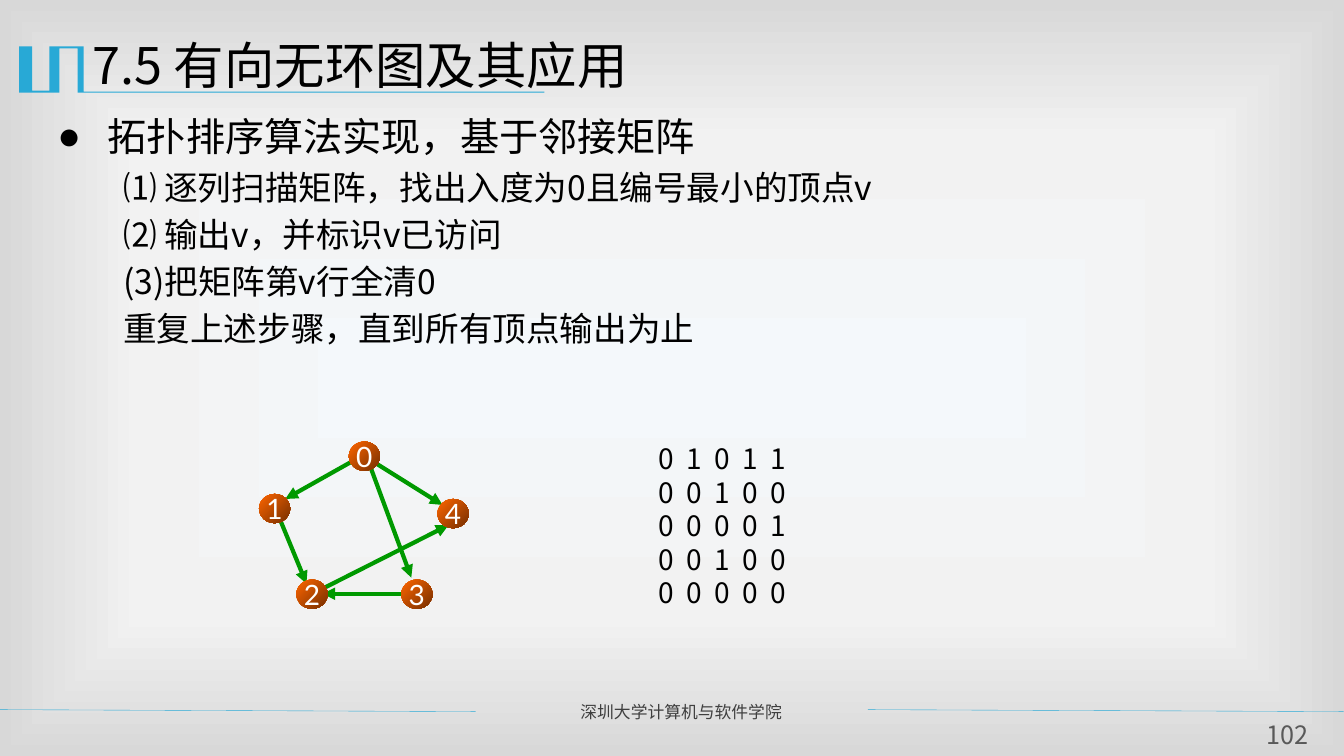
from dataclasses import dataclass

from lxml.etree import SubElement
from pptx import Presentation
from pptx.dml.color import RGBColor
from pptx.enum.shapes import MSO_CONNECTOR, MSO_SHAPE
from pptx.enum.text import MSO_ANCHOR, MSO_AUTO_SIZE, PP_ALIGN
from pptx.oxml import parse_xml
from pptx.oxml.ns import nsdecls, qn
from pptx.shapes.autoshape import Shape
from pptx.slide import Slide
from pptx.text.text import _Paragraph as Paragraph
from pptx.util import Pt


@dataclass(frozen=True)
class Theme:
    text_font: str = "Noto Sans CJK SC"
    node_font: str = "Lato"
    black: RGBColor = RGBColor(0, 0, 0)
    white: RGBColor = RGBColor(255, 255, 255)
    accent: RGBColor = RGBColor.from_string("28A9D6")
    edge: RGBColor = RGBColor.from_string("009900")
    node_light: RGBColor = RGBColor.from_string("FF6600")
    node_dark: RGBColor = RGBColor.from_string("762F00")
    footer: RGBColor = RGBColor.from_string("3F3F3F")
    number: RGBColor = RGBColor.from_string("595959")
    background: tuple = ((0, "F4F8FB"), (63, "F2F2F2"), (100, "D8D8D8"))
    title_size: float = 36
    bullet_size: float = 28
    step_size: float = 24
    graph_size: float = 20
    number_size: float = 18
    footer_size: float = 12
    line_height: float = 1.2


THEME = Theme()


@dataclass(frozen=True)
class Box:
    left: float
    top: float
    width: float
    height: float


@dataclass(frozen=True)
class Node:
    left: float
    top: float


@dataclass(frozen=True)
class Edge:
    source: int
    target: int
    start: tuple[float, float]
    end: tuple[float, float]


NODE_WIDTH, NODE_HEIGHT = 22.3, 20.9
NODES = [Node(249.1, 315.4), Node(185, 352.8), Node(211.7, 414),
         Node(286.6, 414), Node(312.5, 356.4)]
EDGES = [
    Edge(0, 4, (267.8, 330.5), (316.1, 360.7)),
    Edge(1, 2, (200.2, 371.5), (218.9, 416.9)),
    Edge(0, 1, (256.3, 326.9), (203.8, 356.4)),
    Edge(0, 3, (263.5, 330.5), (293.8, 412.6)),
    Edge(3, 2, (286.6, 424.1), (230.4, 424.1)),
    Edge(2, 4, (230.4, 420.5), (320.4, 375.1)),
]
MATRIX_PITCH = 20
EMBLEM = [(59.8, 33.1), (59.8, 65.5), (388.8, 65.5), (388.8, 66.2), (55.4, 66.2),
          (55.4, 34.6), (42.5, 34.6), (42.5, 66.2), (13.7, 66.2), (13.7, 33.1),
          (23, 33.1), (23, 64.8), (35.3, 64.8), (35.3, 33.1)]
FOOTER_RULES = [((0, 506.9), (339.8, 508.3)), ((619.9, 506.9), (959.8, 508.3))]
HEADING = "拓扑排序算法实现，基于邻接矩阵"
STEPS = ["⑴ 逐列扫描矩阵，找出入度为0且编号最小的顶点v", "⑵ 输出v，并标识v已访问",
         "(3)把矩阵第v行全清0", "重复上述步骤，直到所有顶点输出为止"]


def format_paragraph(paragraph: Paragraph, size: float, color: RGBColor,
                     font: str = THEME.text_font) -> None:
    """Fix the line height and style every run, East Asian text included."""
    paragraph.line_spacing = Pt(round(size * THEME.line_height, 2))
    for run in paragraph.runs:
        run.font.size = Pt(size)
        run.font.color.rgb = color
        run.font.name = font
        SubElement(run._r.get_or_add_rPr(), qn("a:ea"), typeface=font)


def place(shape: Shape, box: Box) -> None:
    shape.left, shape.top = Pt(box.left), Pt(box.top)
    shape.width, shape.height = Pt(box.width), Pt(box.height)
    shape.text_frame.word_wrap = True
    shape.text_frame.auto_size = MSO_AUTO_SIZE.NONE
    shape.text_frame.vertical_anchor = MSO_ANCHOR.TOP


def add_text(slide: Slide, box: Box, text: str, size: float, color: RGBColor,
             alignment: PP_ALIGN = PP_ALIGN.LEFT) -> Shape:
    shape = slide.shapes.add_textbox(0, 0, 0, 0)
    place(shape, box)
    shape.text_frame.text = text
    for paragraph in shape.text_frame.paragraphs:
        paragraph.alignment = alignment
        format_paragraph(paragraph, size, color)
    return shape


def add_line(slide: Slide, start: tuple[float, float], end: tuple[float, float],
             color: RGBColor, width: float, arrow: bool = False) -> None:
    connector = slide.shapes.add_connector(
        MSO_CONNECTOR.STRAIGHT, *(Pt(value) for value in (*start, *end)))
    connector.line.color.rgb = color
    connector.line.width = Pt(width)
    properties = connector.element.spPr
    if arrow:
        SubElement(properties.find(qn("a:ln")), qn("a:tailEnd"), type="triangle")
    SubElement(properties, qn("a:effectLst"))


def paint_background(slide: Slide) -> None:
    stops = "".join(f'<a:gs pos="{position * 1000}"><a:srgbClr val="{color}"/></a:gs>'
                    for position, color in THEME.background)
    slide.element.cSld.insert(0, parse_xml(
        f'<p:bg {nsdecls("p", "a")}><p:bgPr><a:gradFill><a:gsLst>{stops}</a:gsLst>'
        '<a:path path="rect"><a:fillToRect l="50000" t="50000" r="50000" b="50000"/>'
        '</a:path></a:gradFill><a:effectLst/></p:bgPr></p:bg>'))


def add_emblem(slide: Slide) -> None:
    points = [(Pt(x), Pt(y)) for x, y in EMBLEM]
    builder = slide.shapes.build_freeform(*points[0])
    builder.add_line_segments(points[1:], close=True)
    emblem = builder.convert_to_shape()
    emblem.shadow.inherit = False
    emblem.fill.solid()
    emblem.fill.fore_color.rgb = THEME.accent
    emblem.line.fill.background()


def fill_title(title: Shape) -> None:
    place(title, Box(59, 20.5, 864, 62.6))
    title.text_frame.text = "7.5 有向无环图及其应用"
    paragraph = title.text_frame.paragraphs[0]
    paragraph.alignment = PP_ALIGN.LEFT
    format_paragraph(paragraph, THEME.title_size, THEME.black)


def fill_body(body: Shape) -> None:
    place(body, Box(33.8, 77, 873.4, 216))
    body.text_frame.text = "\n".join([HEADING, *STEPS])
    for index, paragraph in enumerate(body.text_frame.paragraphs):
        properties = paragraph._p.get_or_add_pPr()
        is_step = index > 0
        properties.set("marL", str(Pt(47 if is_step else 36)))
        properties.set("indent", str(Pt(0 if is_step else -36)))
        if is_step:
            SubElement(properties, qn("a:buNone"))
        else:
            SubElement(properties, qn("a:buChar"), char="●")
        paragraph.space_before = Pt(4.8 if is_step else 0)
        format_paragraph(paragraph, THEME.step_size if is_step else THEME.bullet_size,
                         THEME.black)


def add_node(slide: Slide, node: Node, label: str) -> None:
    circle = slide.shapes.add_shape(MSO_SHAPE.OVAL, Pt(node.left), Pt(node.top),
                                    Pt(NODE_WIDTH), Pt(NODE_HEIGHT))
    circle.shadow.inherit = False
    circle.line.fill.background()
    circle.fill.gradient()
    circle.fill.gradient_angle = 315
    for stop, color in zip(circle.fill.gradient_stops, (THEME.node_light, THEME.node_dark)):
        stop.color.rgb = color
    frame = circle.text_frame
    frame.margin_left = frame.margin_right = 0
    frame.word_wrap = False
    frame.vertical_anchor = MSO_ANCHOR.MIDDLE
    frame.text = label
    frame.paragraphs[0].alignment = PP_ALIGN.CENTER
    format_paragraph(frame.paragraphs[0], THEME.graph_size, THEME.white, THEME.node_font)


def add_adjacency_matrix(slide: Slide) -> None:
    """Write one row per node, its columns held apart by tab stops."""
    links = {(edge.source, edge.target) for edge in EDGES}
    order = range(len(NODES))
    rows = ["\t".join(str(int((row, column) in links)) for column in order) for row in order]
    matrix = add_text(slide, Box(463, 311.8, 162, 128), "\n".join(rows),
                      THEME.graph_size, THEME.black)
    for paragraph in matrix.text_frame.paragraphs:
        tabs = SubElement(paragraph._p.get_or_add_pPr(), qn("a:tabLst"))
        for column in order[1:]:
            SubElement(tabs, qn("a:tab"), pos=str(Pt(column * MATRIX_PITCH)), algn="l")


def main() -> None:
    presentation = Presentation()
    presentation.slide_width, presentation.slide_height = Pt(960), Pt(540)
    slide = presentation.slides.add_slide(presentation.slide_layouts[1])
    paint_background(slide)
    add_emblem(slide)
    for start, end in FOOTER_RULES:
        add_line(slide, start, end, THEME.accent, 0.25)
    add_text(slide, Box(407.5, 497.5, 205.2, 21.6), "深圳大学计算机与软件学院",
             THEME.footer_size, THEME.footer, PP_ALIGN.JUSTIFY)
    fill_title(slide.shapes.title)
    fill_body(slide.placeholders[1])
    add_text(slide, Box(891.4, 510.5, 57, 29), "102",
             THEME.number_size, THEME.number, PP_ALIGN.CENTER)
    for edge in EDGES:
        add_line(slide, edge.start, edge.end, THEME.edge, 3, arrow=True)
    for index, node in enumerate(NODES):
        add_node(slide, node, str(index))
    add_adjacency_matrix(slide)
    presentation.save("out.pptx")


if __name__ == "__main__":
    main()
